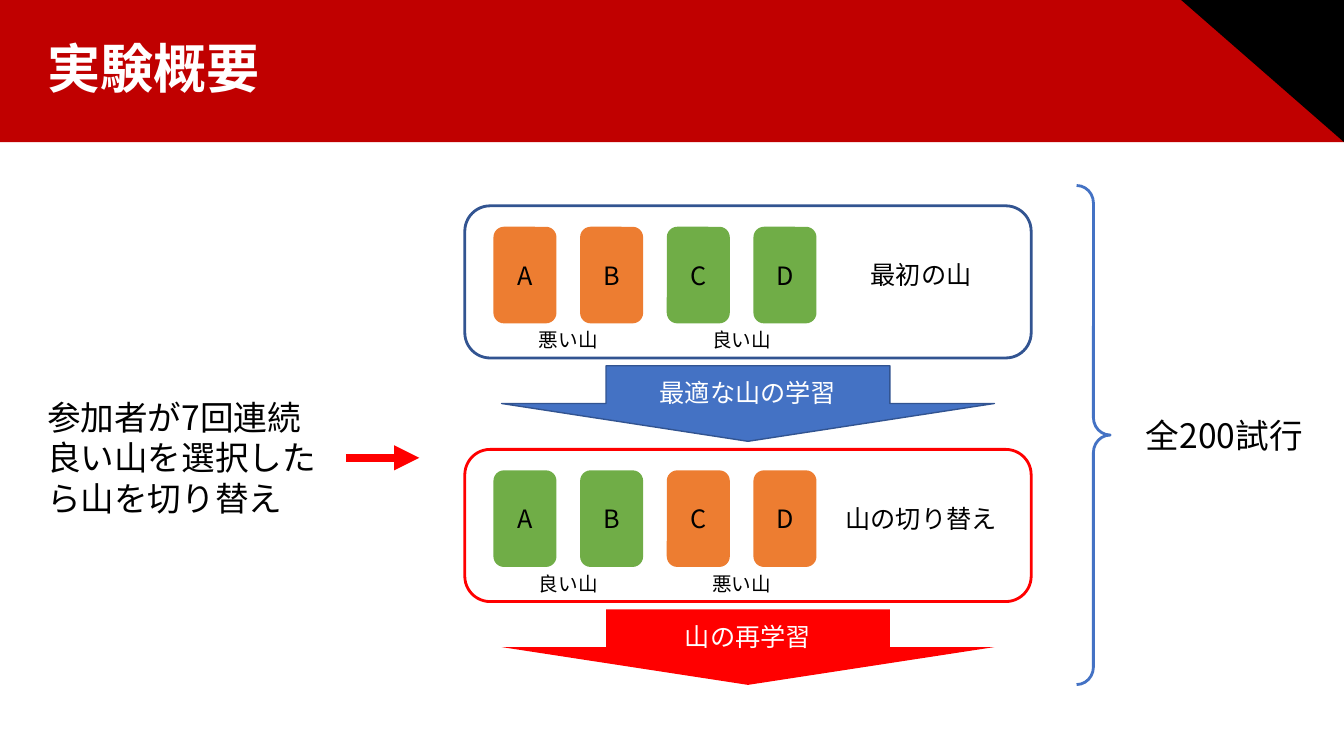
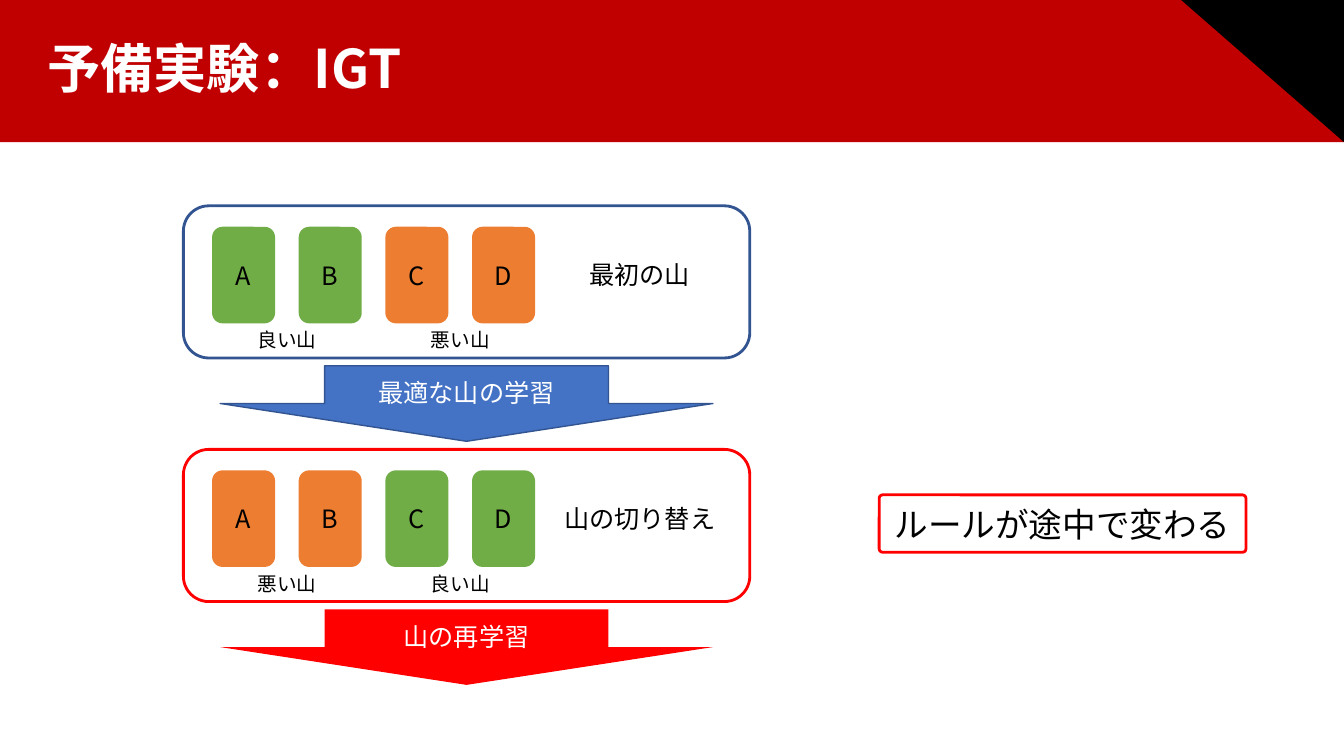
from lxml import etree
from pptx import Presentation
from pptx.dml.color import RGBColor
from pptx.enum.shapes import MSO_CONNECTOR, MSO_SHAPE
from pptx.enum.text import MSO_ANCHOR, MSO_AUTO_SIZE, PP_ALIGN
from pptx.oxml.ns import qn
from pptx.util import Pt

RECTANGLE = MSO_SHAPE.RECTANGLE
ROUNDED = MSO_SHAPE.ROUNDED_RECTANGLE
TRIANGLE = MSO_SHAPE.RIGHT_TRIANGLE
DOWN_ARROW = MSO_SHAPE.DOWN_ARROW
BRACE = MSO_SHAPE.RIGHT_BRACE
STRAIGHT = MSO_CONNECTOR.STRAIGHT
LEFT, CENTER = PP_ALIGN.LEFT, PP_ALIGN.CENTER
TOP, MIDDLE = MSO_ANCHOR.TOP, MSO_ANCHOR.MIDDLE

FONT = "Noto Sans CJK JP"
COLORS = {
    "band": "C00000",
    "black": "000000",
    "white": "FFFFFF",
    "blue": "4472C4",
    "navy": "325491",
    "red": "FF0000",
    "good": "70AD47",
    "bad": "ED7D31",
}
PILE_LABELS = {"good": "良い山", "bad": "悪い山"}

PAGE_WIDTH, PAGE_HEIGHT = 960, 540
BAND_HEIGHT = 101.5
PANEL_WIDTH, PANEL_HEIGHT = 404.6, 108.7
STAGE_TOP, STAGE_PITCH = 147, 174
CARD_WIDTH, CARD_HEIGHT, CARD_PITCH = 45, 69, 61.9
CARD_LEFT, CARD_TOP = 20.5, 15


def color(name):
    return RGBColor.from_string(COLORS[name])


def write(frame, text, size, ink="black", align=CENTER, anchor=MIDDLE,
          wrap=True, bold=False, spacing=1.2):
    frame.word_wrap = wrap
    frame.auto_size = MSO_AUTO_SIZE.NONE
    frame.vertical_anchor = anchor
    para = frame.paragraphs[0]
    para.alignment = align
    para.line_spacing = Pt(round(size * spacing, 1))
    span = para.add_run()
    span.text = text
    span.font.size = Pt(size)
    span.font.bold = bold
    span.font.color.rgb = color(ink)
    span.font.name = FONT
    east_asian = etree.SubElement(span.font._element, qn("a:ea"))
    east_asian.set("typeface", FONT)


def add_shape(page, kind, box, fill=None, line=None, weight=2, adjust=()):
    shape = page.shapes.add_shape(kind, *map(Pt, box))
    shape.shadow.inherit = False
    if fill:
        shape.fill.solid()
        shape.fill.fore_color.rgb = color(fill)
    else:
        shape.fill.background()
    if line:
        shape.line.color.rgb = color(line)
        shape.line.width = Pt(weight)
    else:
        shape.line.fill.background()
    for index, value in enumerate(adjust):
        shape.adjustments[index] = value
    return shape


def add_text(page, box, text, size, **style):
    write(page.shapes.add_textbox(*map(Pt, box)).text_frame, text, size, **style)


def add_page(deck, title_text):
    """Add a slide with the red band, its black corner and the title."""
    page = deck.slides.add_slide(deck.slide_layouts[5])
    add_shape(page, RECTANGLE, (0, 0, PAGE_WIDTH, BAND_HEIGHT), "band")
    corner_width = 116.3
    corner = add_shape(page, TRIANGLE, (PAGE_WIDTH - corner_width, 0,
                                        corner_width, BAND_HEIGHT), "black")
    corner.rotation = 180
    title = page.shapes.title
    title.left, title.top, title.width, title.height = map(Pt, (26.6, 26, 861, 52))
    write(title.text_frame, title_text, 38, ink="white", align=LEFT, anchor=TOP,
          bold=True, spacing=1.08)
    page.shapes._spTree.append(title._element)  # in front of the band
    return page


def add_piles(page, left, top, caption, outline, kinds):
    """Draw a panel with four cards, a label below each pair and a caption."""
    for index, letter in enumerate("ABCD"):
        box = (left + CARD_LEFT + index * CARD_PITCH, top + CARD_TOP,
               CARD_WIDTH, CARD_HEIGHT)
        card = add_shape(page, ROUNDED, box, kinds[index // 2])
        write(card.text_frame, letter, 18)
    pair_width = CARD_PITCH + CARD_WIDTH
    for index, kind in enumerate(kinds):
        box = (left + CARD_LEFT + 2 * index * CARD_PITCH,
               top + CARD_TOP + CARD_HEIGHT, pair_width, 24.5)
        add_text(page, box, PILE_LABELS[kind], 14, anchor=TOP, wrap=False)
    add_text(page, (left + 264, top + 35, 124, 29), caption, 18,
             anchor=TOP, wrap=False)
    add_shape(page, ROUNDED, (left, top, PANEL_WIDTH, PANEL_HEIGHT), line=outline)


def add_flow(page, left, first_kinds):
    """Stack both stages, the second with good and bad piles swapped."""
    stages = [
        ("最初の山", "navy", first_kinds, "最適な山の学習", "blue", "navy"),
        ("山の切り替え", "red", first_kinds[::-1], "山の再学習", "red", None),
    ]
    for index, (caption, outline, kinds, step, fill, edge) in enumerate(stages):
        top = STAGE_TOP + index * STAGE_PITCH
        arrow_width = 352
        box = (left + (PANEL_WIDTH - arrow_width) / 2, top + 114.2, arrow_width, 54)
        arrow = add_shape(page, DOWN_ARROW, box, fill, edge, 1, (0.576, 0.5))
        write(arrow.text_frame, step, 18, ink="white")
        add_piles(page, left, top, caption, outline, kinds)


def add_pointer(page, left, right, y):
    pointer = page.shapes.add_connector(STRAIGHT, Pt(left), Pt(y), Pt(right), Pt(y))
    pointer.line.color.rgb = color("red")
    pointer.line.width = Pt(6)
    line = pointer.line._get_or_add_ln()
    etree.SubElement(line, qn("a:tailEnd")).set("type", "triangle")
    etree.SubElement(pointer._element.spPr, qn("a:effectLst"))


def build_overview(deck):
    page = add_page(deck, "実験概要")
    add_flow(page, 332, ("bad", "good"))
    add_text(page, (26.6, 280, 217, 94.3),
             "参加者が7回連続良い山を選択したら山を切り替え", 24,
             align=LEFT, anchor=TOP)
    add_pointer(page, 247, 299.5, 327)
    add_shape(page, BRACE, (769, 132.5, 24, 356.5), line="blue", adjust=(0.52, 0.5))
    add_text(page, (811.5, 293, 127.4, 65), "全200試行", 24, align=LEFT, anchor=TOP)


def build_preliminary(deck):
    page = add_page(deck, "予備実験：IGT")
    add_flow(page, 131, ("good", "bad"))
    note = add_shape(page, ROUNDED, (628, 353.5, 262, 41), line="red", adjust=(0.06,))
    write(note.text_frame, "ルールが途中で変わる", 24)


def main():
    deck = Presentation()
    deck.slide_width, deck.slide_height = Pt(PAGE_WIDTH), Pt(PAGE_HEIGHT)
    build_overview(deck)
    build_preliminary(deck)
    deck.save("out.pptx")


if __name__ == "__main__":
    main()
